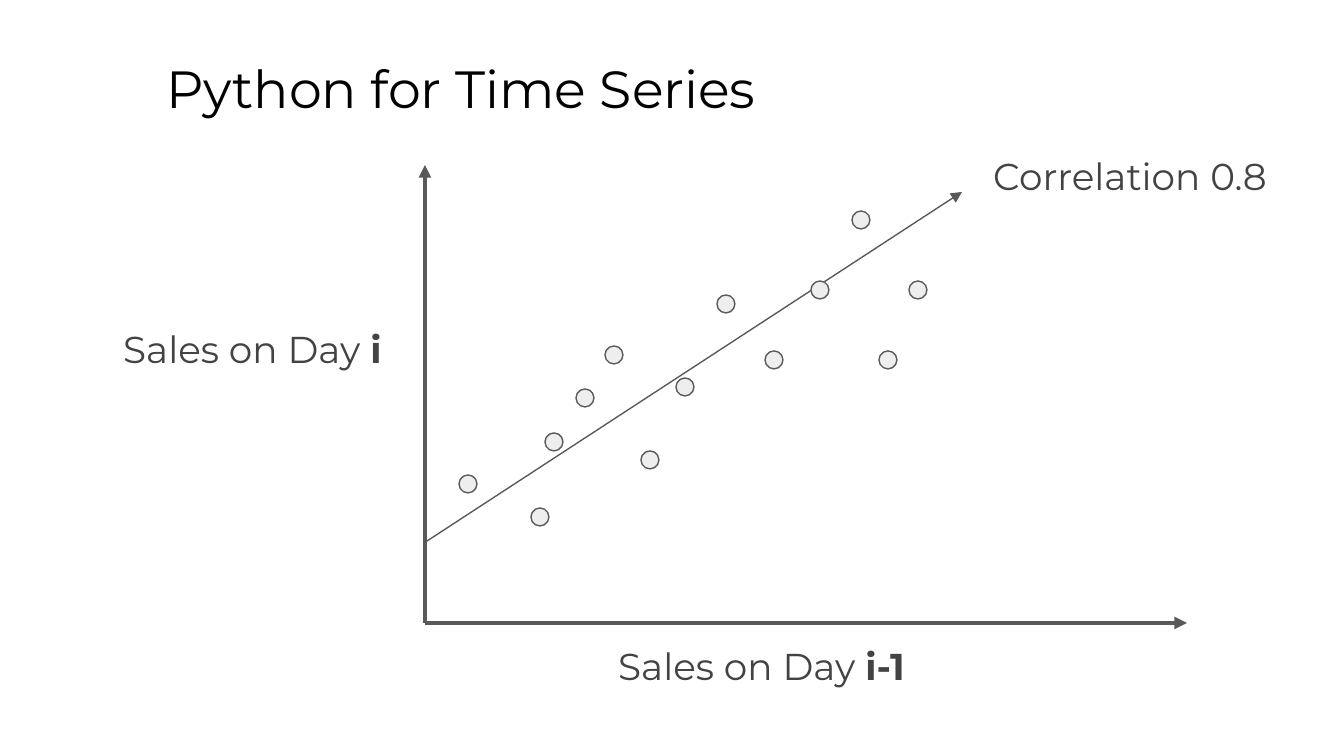
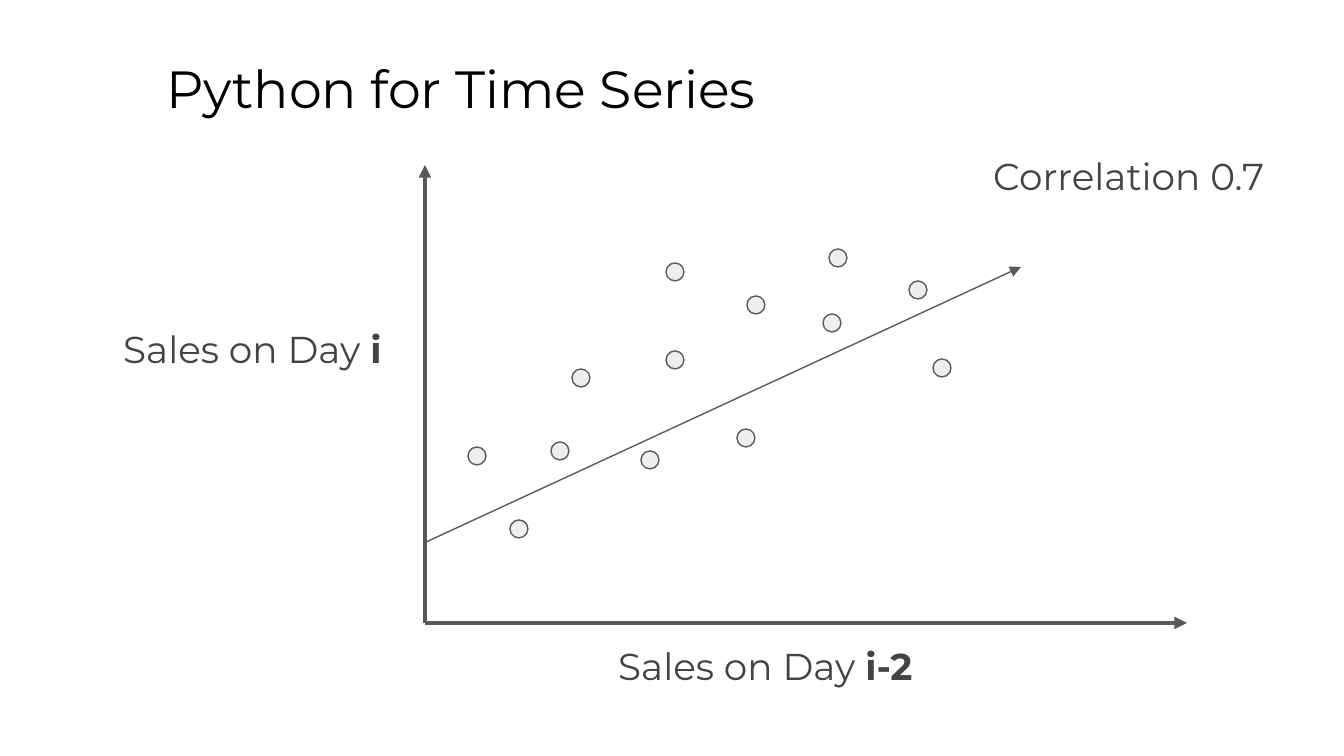
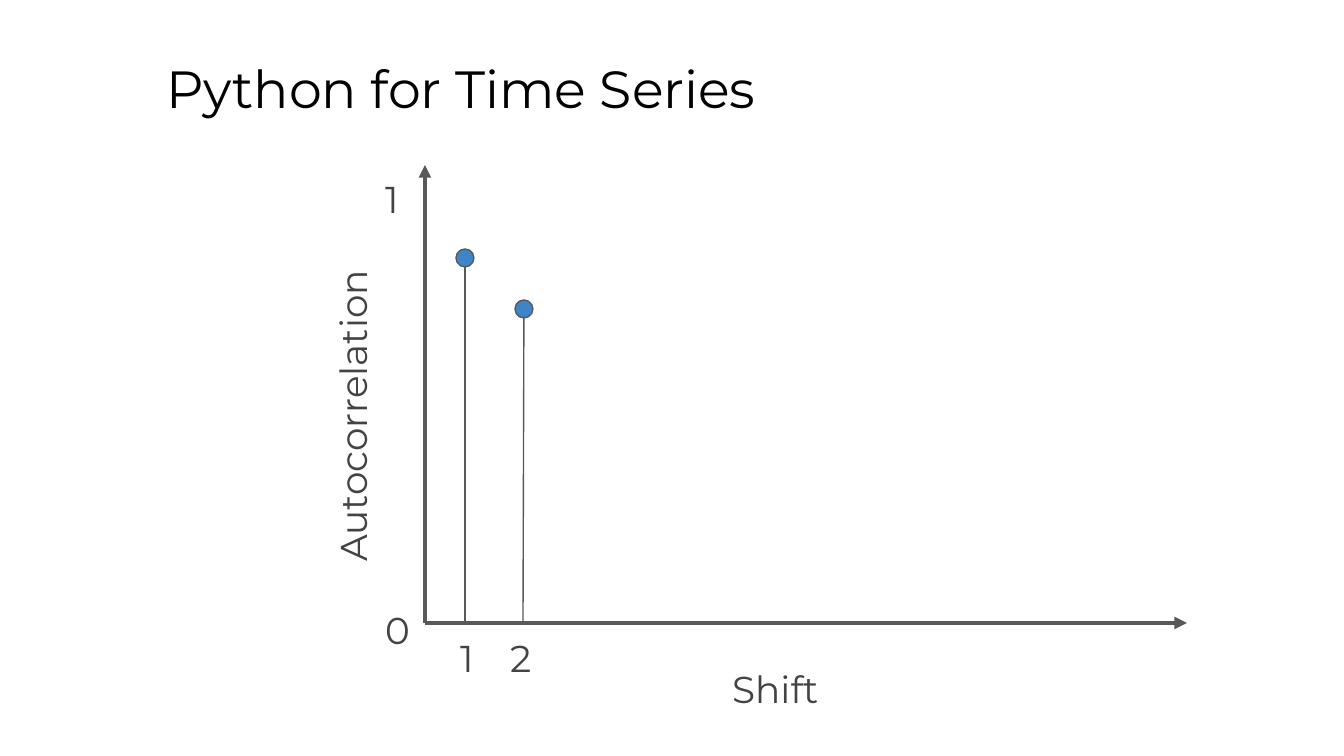
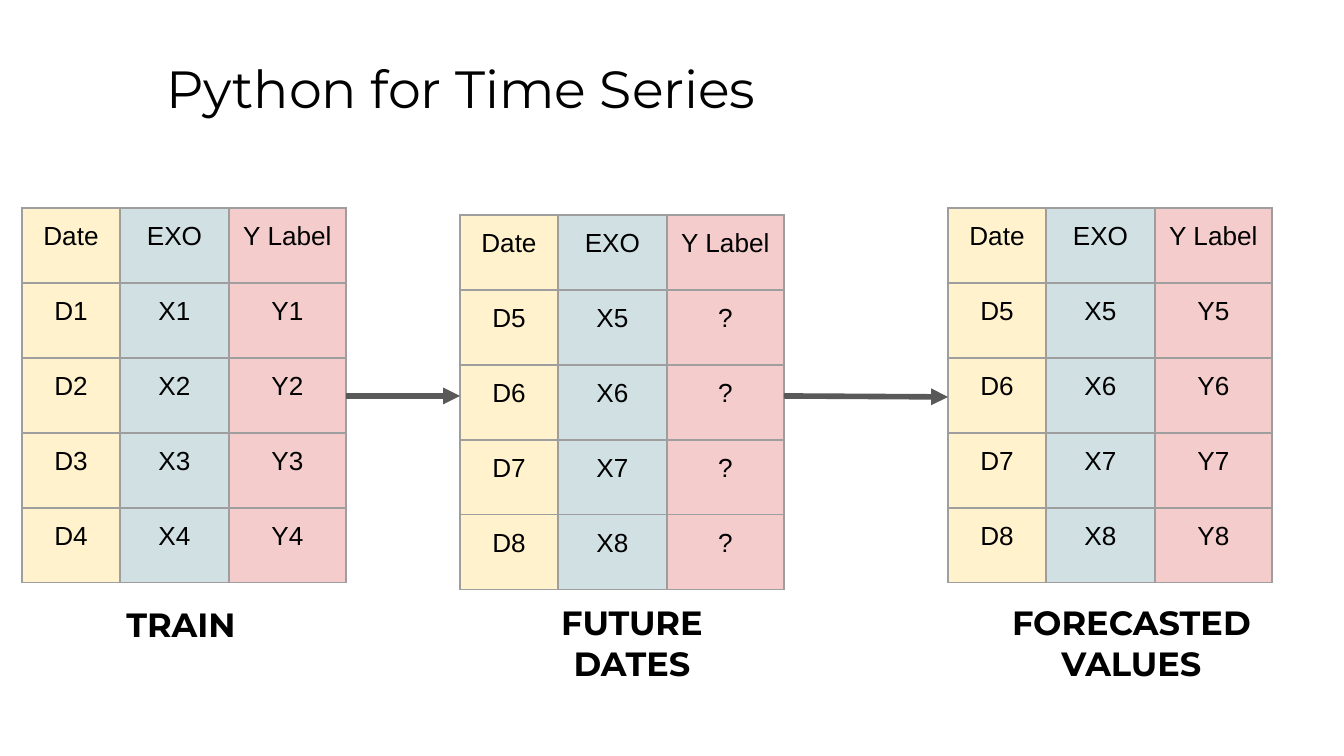
from lxml.etree import SubElement
from pptx import Presentation
from pptx.dml.color import RGBColor
from pptx.enum.shapes import MSO_CONNECTOR, MSO_SHAPE
from pptx.enum.text import MSO_ANCHOR, MSO_AUTO_SIZE, PP_ALIGN
from pptx.oxml.ns import qn
from pptx.util import Inches, Pt

SCALE = Inches(1) / 134.4
FONT = "Montserrat"
GREY = "595959"
BLACK = "000000"
INSET = Inches(0.1)
hue = RGBColor.from_string


def span(*nums):
    return [round(n * SCALE) for n in nums]


def draw(page, ends, width, arrow=True):
    line = page.shapes.add_connector(MSO_CONNECTOR.STRAIGHT, *span(*ends))
    line.line.color.rgb = hue(GREY)
    line.line.width = Pt(width)
    if arrow:
        SubElement(line.line._get_or_add_ln(), qn("a:tailEnd"), type="triangle")
    SubElement(line._element.spPr, qn("a:effectLst"))


deck = Presentation()
deck.slide_width, deck.slide_height = span(1344, 756)

pages = []
for _ in range(4):
    page = deck.slides.add_slide(deck.slide_layouts[5])
    title = page.shapes.title
    title.left, title.top, title.width, title.height = span(153, 43, 1145, 85)
    frame = title.text_frame
    frame.auto_size = MSO_AUTO_SIZE.NONE
    frame.vertical_anchor = MSO_ANCHOR.TOP
    frame.margin_left = frame.margin_right = INSET
    frame.margin_top = frame.margin_bottom = INSET
    frame.text = "Python for Time Series"
    para = frame.paragraphs[0]
    para.alignment = PP_ALIGN.LEFT
    para.font.name = FONT
    para.font.size = Pt(28)
    para.font.color.rgb = hue(BLACK)
    pages.append(page)

plots = [
    {
        "trends": [(424, 543, 962, 192)],
        "arrow": True,
        "fill": "EEEEEE",
        "dots": [(468, 484), (540, 517), (554, 442), (650, 460), (614, 355),
                 (774, 360), (685, 387), (820, 290), (726, 304), (861, 220),
                 (918, 290), (888, 360), (585, 398)],
        "labels": [(110, 306, 375, 0, "Sales on Day ", "i"),
                   (605, 623, 375, 0, "Sales on Day ", "i-1"),
                   (980, 133, 340, 0, "Correlation 0.8", "")],
    },
    {
        "trends": [(424, 543, 1021, 267)],
        "arrow": True,
        "fill": "EEEEEE",
        "dots": [(477, 456), (519, 529), (560, 451), (650, 460), (675, 360),
                 (832, 323), (675, 272), (756, 305), (746, 438), (838, 258),
                 (918, 290), (942, 368), (581, 378)],
        "labels": [(110, 306, 375, 0, "Sales on Day ", "i"),
                   (605, 623, 375, 0, "Sales on Day ", "i-2"),
                   (980, 133, 340, 0, "Correlation 0.7", "")],
    },
    {
        "trends": [(523, 625, 524, 300), (465, 625, 465, 266)],
        "arrow": False,
        "fill": "3D85C6",
        "dots": [(465, 258), (524, 309)],
        "labels": [(171, 339, 375, 270, "Autocorrelation", ""),
                   (719, 646, 263, 0, "Shift", ""),
                   (372, 587, 54, 0, "0", ""),
                   (372, 156, 263, 0, "1", ""),
                   (447, 615, 54, 0, "1", ""),
                   (497, 615, 54, 0, "2", "")],
    },
]

for page, plot in zip(pages, plots):
    for trend in plot["trends"]:
        draw(page, trend, 0.75, plot["arrow"])
    draw(page, (425, 623, 425, 165), 2.25)
    draw(page, (425, 623, 1187, 623), 2.25)

    for x, y in plot["dots"]:
        dot = page.shapes.add_shape(MSO_SHAPE.OVAL, *span(x - 9, y - 9, 18, 18))
        dot.shadow.inherit = False
        dot.fill.solid()
        dot.fill.fore_color.rgb = hue(plot["fill"])
        dot.line.color.rgb = hue(GREY)
        dot.line.width = Pt(0.75)

    for x, y, width, turn, text, strong in plot["labels"]:
        box = page.shapes.add_textbox(*span(x, y, width, 97))
        box.rotation = turn
        frame = box.text_frame
        frame.word_wrap = True
        frame.margin_left = frame.margin_right = INSET
        frame.margin_top = frame.margin_bottom = INSET
        para = frame.paragraphs[0]
        para.line_spacing = 1.15
        para.space_after = Pt(16)
        para.font.name = FONT
        para.font.size = Pt(20)
        para.font.color.rgb = hue("434343")
        para.add_run().text = text
        if strong:
            run = para.add_run()
            run.text = strong
            run.font.bold = True

page = pages[3]
cols = [("Date", 98, "FFF2CC"), ("EXO", 109, "D0E0E3"), ("Y Label", 117, "F4CCCC")]
grids = [
    (22, 208, 1, "Y{}", "TRAIN", (62, 590, 238, 70)),
    (460, 215, 5, "?", "FUTURE\nDATES", (513, 589, 238, 70)),
    (948, 208, 5, "Y{}", "FORECASTED VALUES", (997, 589, 269, 70)),
]

for left, top, first, mark, name, place in grids:
    grid = page.shapes.add_table(5, 3, *span(left, top, 324, 375)).table
    grid.first_row = grid.horz_banding = False
    for row in grid.rows:
        row.height = span(75)[0]
    for c, (head, width, fill) in enumerate(cols):
        grid.columns[c].width = span(width)[0]
        form = ("D{}", "X{}", mark)[c]
        words = [head] + [form.format(first + n) for n in range(4)]
        for r, word in enumerate(words):
            cell = grid.cell(r, c)
            cell.text = word
            cell.margin_left = cell.margin_right = INSET
            cell.margin_top = cell.margin_bottom = INSET
            para = cell.text_frame.paragraphs[0]
            para.alignment = PP_ALIGN.CENTER
            para.font.name = "Arial"
            para.font.size = Pt(14)
            para.font.color.rgb = hue(BLACK)
            props = cell._tc.get_or_add_tcPr()
            for side in ("lnL", "lnR", "lnT", "lnB"):
                edge = SubElement(props, qn("a:" + side), w=str(Pt(0.75)))
                paint = SubElement(edge, qn("a:solidFill"))
                SubElement(paint, qn("a:srgbClr"), val="9E9E9E")
            cell.fill.solid()
            cell.fill.fore_color.rgb = hue(fill)

    box = page.shapes.add_textbox(*span(*place))
    frame = box.text_frame
    frame.word_wrap = True
    frame.margin_left = frame.margin_right = INSET
    frame.margin_top = frame.margin_bottom = INSET
    frame.text = name
    for para in frame.paragraphs:
        para.alignment = PP_ALIGN.CENTER
        para.font.name = FONT
        para.font.size = Pt(18)
        para.font.bold = True
        para.font.color.rgb = hue(BLACK)

draw(page, (346, 396, 460, 396), 3)
draw(page, (784, 396, 948, 397), 3)

deck.save("out.pptx")
